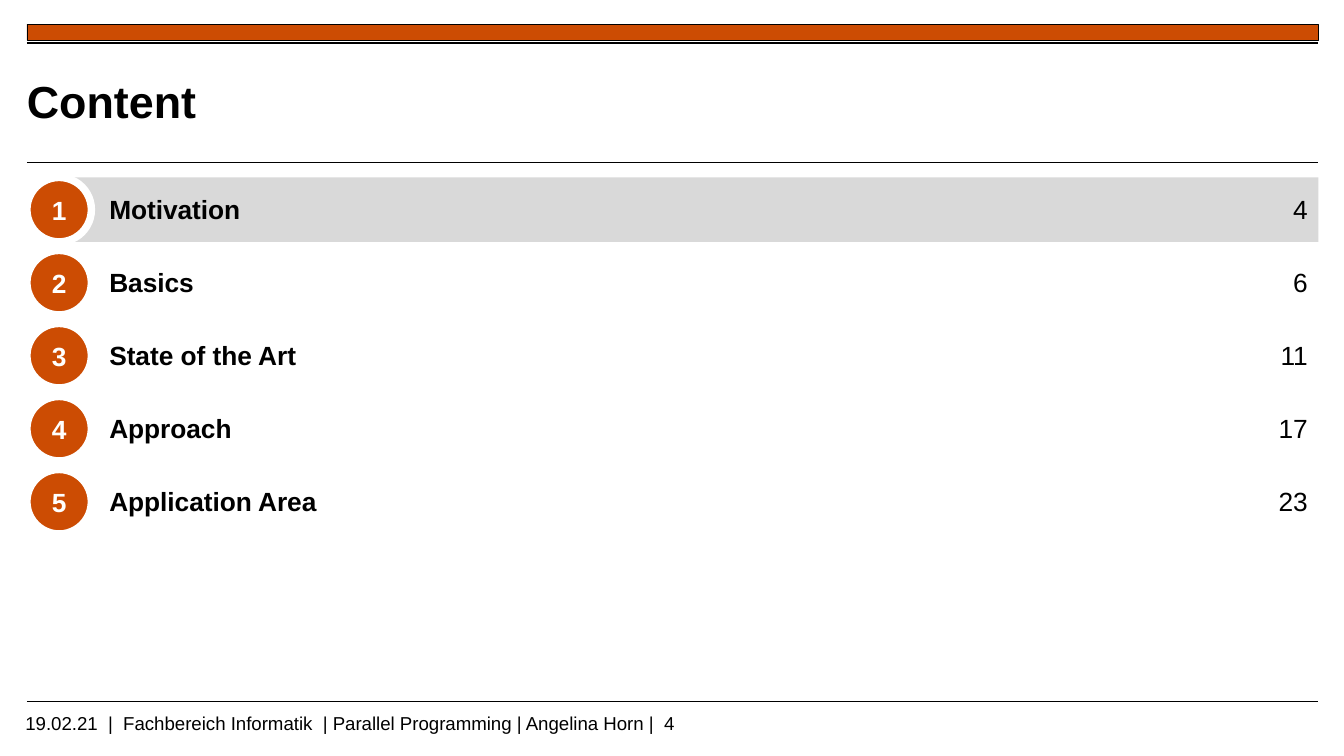
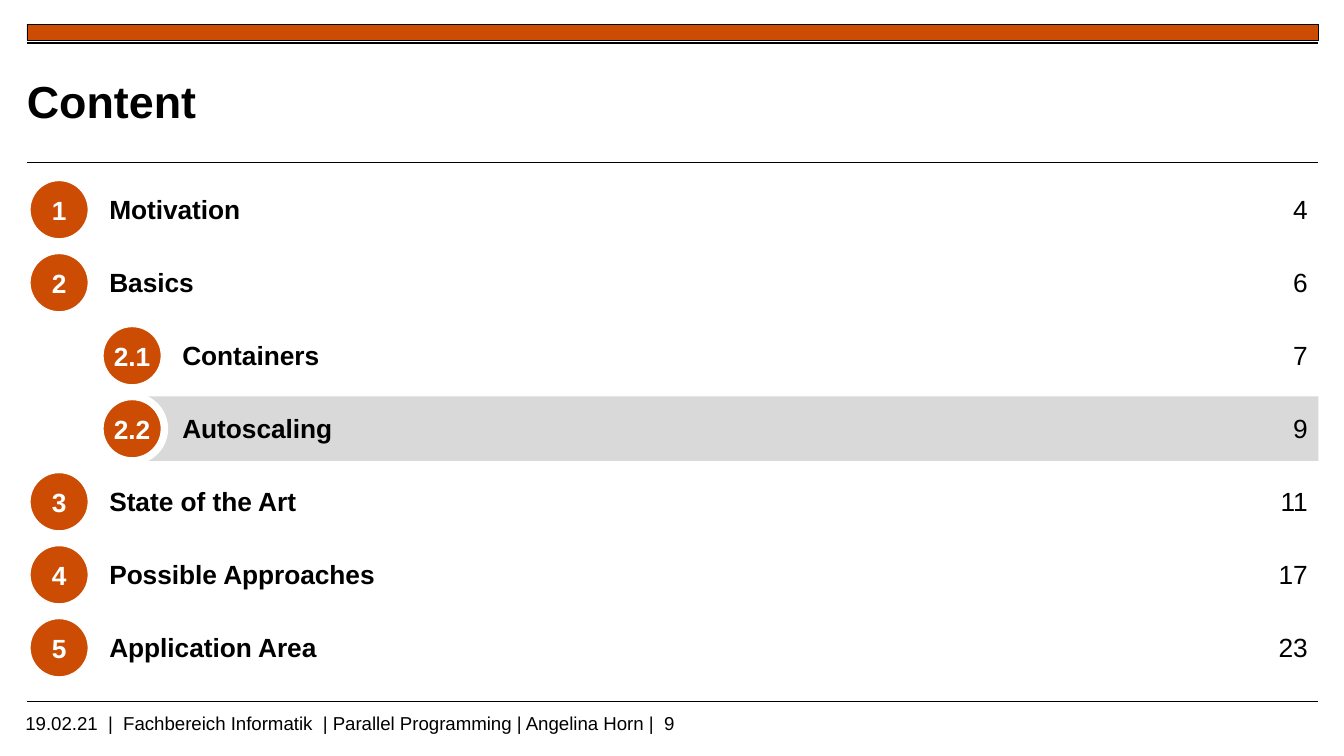
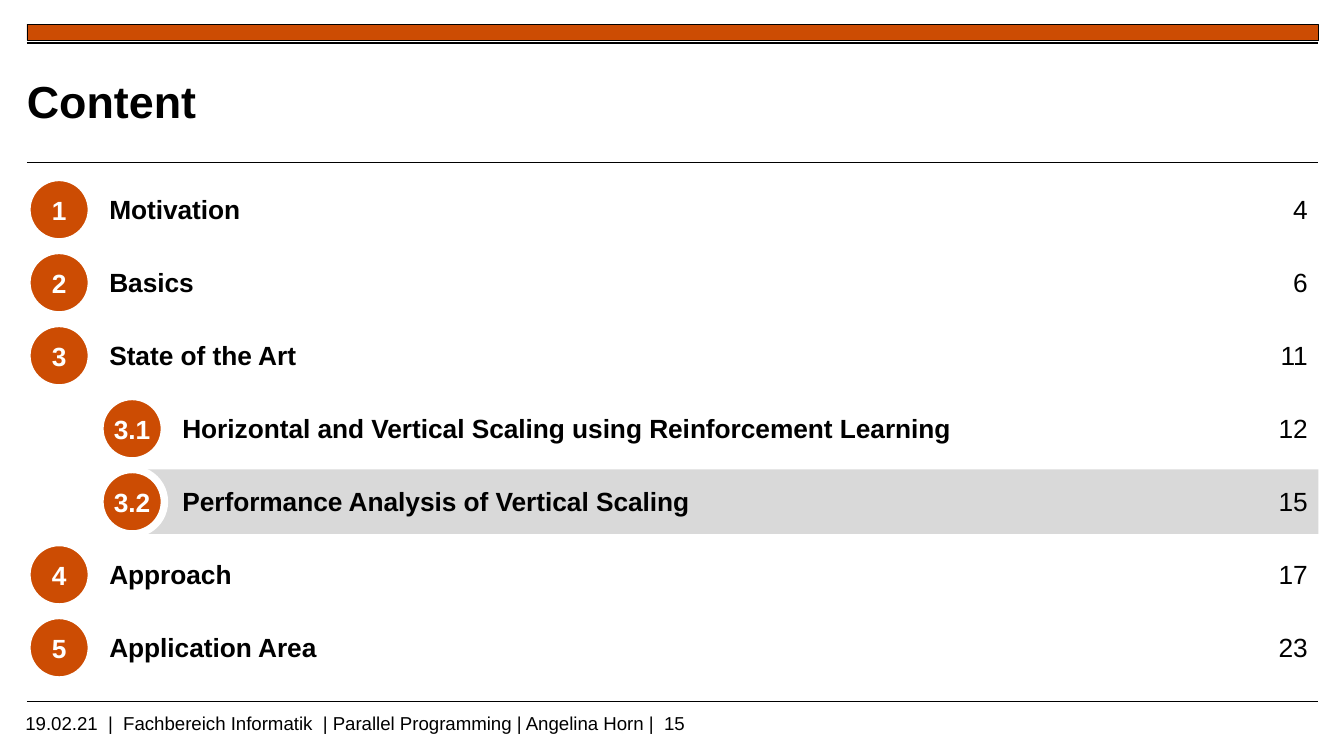
from lxml.etree import SubElement
from pptx import Presentation
from pptx.dml.color import RGBColor
from pptx.enum.shapes import MSO_CONNECTOR, MSO_SHAPE
from pptx.enum.text import MSO_ANCHOR, PP_ALIGN
from pptx.oxml.ns import qn
from pptx.util import Inches, Pt

# Shared look
WIDE = 10
HIGH = WIDE * 9 / 16
ORANGE = RGBColor(0xCC, 0x4C, 0x03)
GREY = RGBColor(0xD9, 0xD9, 0xD9)
BLACK = RGBColor(0, 0, 0)
WHITE = RGBColor(0xFF, 0xFF, 0xFF)
FONT = "Arial"
LEFT, RIGHT = 0.2, 9.81
FOOT = "19.02.21  |  Fachbereich Informatik  | Parallel Programming | Angelina Horn |  "

# Agenda grid: first and last row tops, seven rows
TOP, LAST, ROWS = 1.32, 4.58, 7
STEP = (LAST - TOP) / (ROWS - 1)
SIZE = 0.48

# Agenda entries: number, label, page
START = [("1", "Motivation", 4), ("2", "Basics", 6)]
ART = ("3", "State of the Art", 11)
PLAN = ("4", "Approach", 17)
AREA = ("5", "Application Area", 23)

# Each slide: its page (which marks the current entry's row) and its entries
SLIDES = [
    (4, [*START, ART, PLAN, AREA]),
    (9, [*START, ("2.1", "Containers", 7), ("2.2", "Autoscaling", 9),
         ART, ("4", "Possible Approaches", 17), AREA]),
    (15, [*START, ART,
          ("3.1", "Horizontal and Vertical Scaling using Reinforcement Learning", 12),
          ("3.2", "Performance Analysis of Vertical Scaling", 15), PLAN, AREA]),
]


def write(shape, text, size=14.1, color=BLACK, bold=False, align=PP_ALIGN.LEFT,
          anchor=MSO_ANCHOR.TOP, pad=(0, 0.12, 0, 0.12), wrap=False):
    """Fill a shape with one formatted line; pad is left, top, right, bottom."""
    frame = shape.text_frame
    frame.word_wrap = wrap
    frame.vertical_anchor = anchor
    (frame.margin_left, frame.margin_top,
     frame.margin_right, frame.margin_bottom) = map(Inches, pad)
    para = frame.paragraphs[0]
    para.alignment = align
    run = para.add_run()
    run.text = text
    font = run.font
    font.name, font.size, font.bold = FONT, Pt(size), bold
    font.color.rgb = color


def label(slide, box, text, **style):
    write(slide.shapes.add_textbox(*map(Inches, box)), text, **style)


def block(slide, kind, box, fill, line=None, width=0):
    shape = slide.shapes.add_shape(kind, *map(Inches, box))
    shape.shadow.inherit = False
    shape.fill.solid()
    shape.fill.fore_color.rgb = fill
    if line is None:
        shape.line.fill.background()
    else:
        shape.line.color.rgb = line
        shape.line.width = Pt(width)
    return shape


def rule(slide, y, width):
    line = slide.shapes.add_connector(
        MSO_CONNECTOR.STRAIGHT, Inches(LEFT), Inches(y), Inches(RIGHT), Inches(y))
    line.line.color.rgb = BLACK
    line.line.width = Pt(width)
    SubElement(line._element.spPr, qn("a:effectLst"))


def frame(slide, page):
    """Top band, rules, footer and title."""
    block(slide, MSO_SHAPE.RECTANGLE, (LEFT, 0.18, RIGHT - LEFT, 0.12),
          ORANGE, BLACK, 0.25)
    for y, width in ((0.32, 1.2), (1.21, 0.6), (5.22, 0.6)):
        rule(slide, y, width)
    label(slide, (0.09, 5.25, 7.95, 0.19), f"{FOOT}{page}", size=10,
          pad=(0.1, 0.05, 0.1, 0.05), wrap=True)
    title = slide.shapes.title
    title.left, title.top, title.width, title.height = map(
        Inches, (LEFT, 0.4, 7.46, 0.69))
    write(title, "Content", size=24, bold=True, anchor=MSO_ANCHOR.MIDDLE,
          pad=(0, 0, 0, 0), wrap=True)


def entry(slide, left, top, item, active):
    """One agenda row from left to the right margin."""
    number, text, page = item
    if active:
        mid = left + SIZE / 2
        block(slide, MSO_SHAPE.RECTANGLE, (mid, top, RIGHT - mid, SIZE), GREY)
    wide = 0.12 * len(str(page))
    label(slide, (RIGHT - 0.08 - wide, top, wide, SIZE), str(page),
          align=PP_ALIGN.RIGHT)
    start = left + STEP
    label(slide, (start, top, 7.15 - start, SIZE), text, bold=True,
          pad=(0.07, 0.12, 0, 0.12))
    badge = block(slide, MSO_SHAPE.OVAL, (left, top, SIZE, SIZE), ORANGE, WHITE, 4)
    write(badge, number, color=WHITE, bold=True, align=PP_ALIGN.CENTER,
          anchor=MSO_ANCHOR.MIDDLE, pad=(0.07, 0.12, 0.07, 0.12))


def agenda(slide, left, top, items, page):
    """Stack the rows; each dot in a number indents by one step."""
    for row, item in enumerate(items):
        indent = item[0].count(".") * STEP
        entry(slide, left + indent, top + row * STEP, item, item[2] == page)


def main():
    deck = Presentation()
    deck.slide_width, deck.slide_height = Inches(WIDE), Inches(HIGH)
    for page, items in SLIDES:
        slide = deck.slides.add_slide(deck.slide_layouts.get_by_name("Title Only"))
        frame(slide, page)
        agenda(slide, LEFT, TOP, items, page)
    deck.save("out.pptx")


if __name__ == "__main__":
    main()
